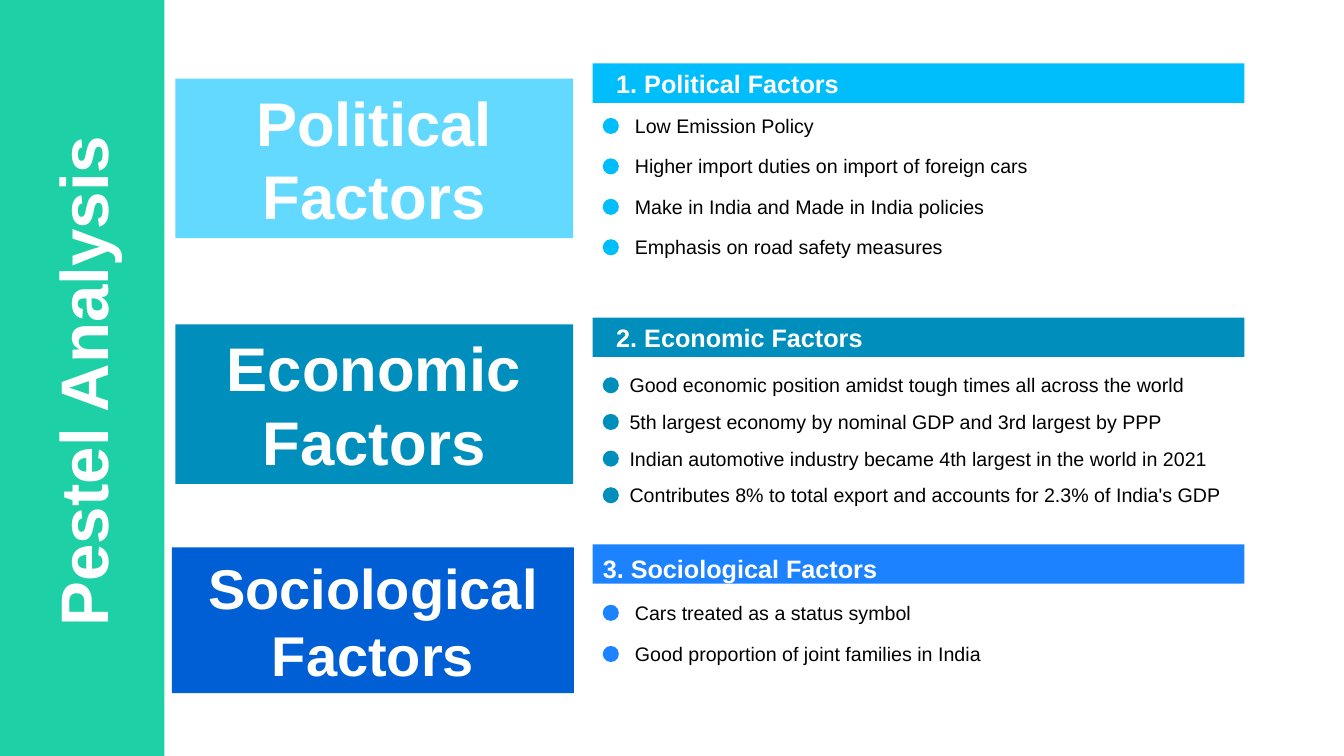
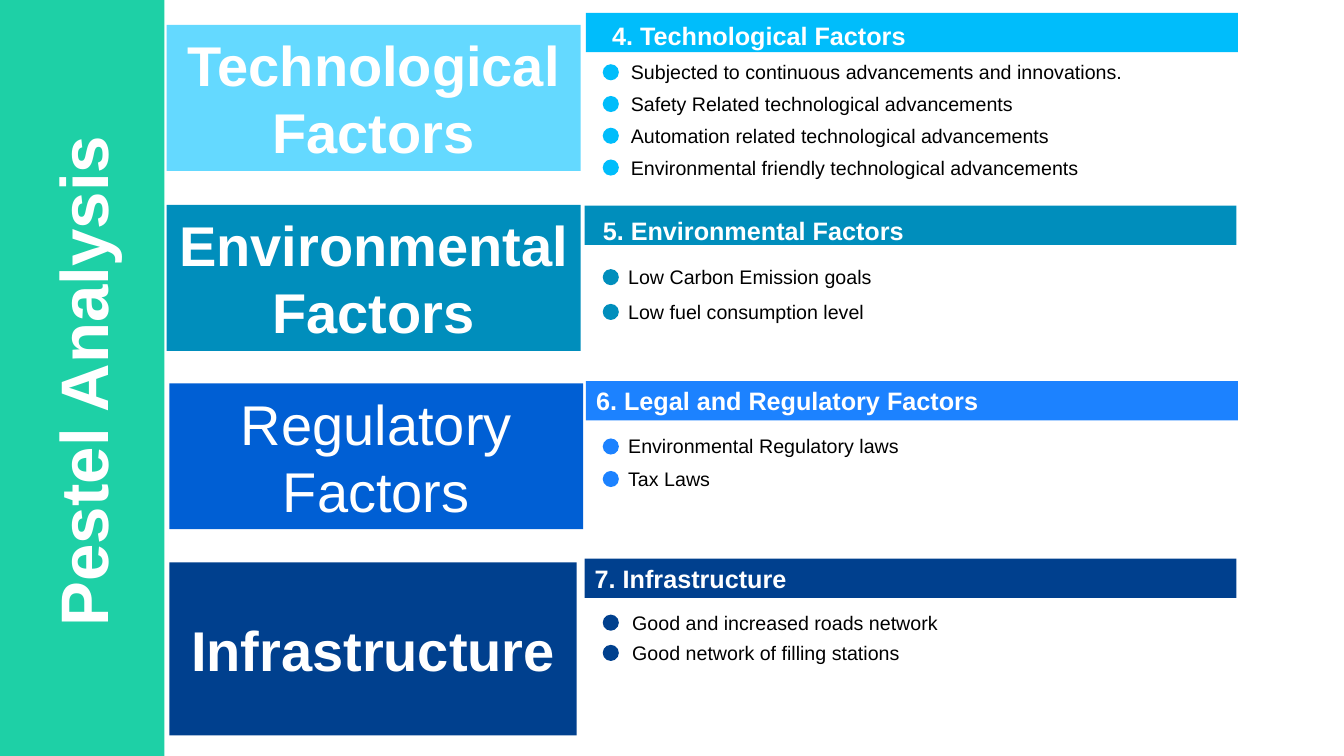
from dataclasses import dataclass

from pptx import Presentation
from pptx.dml.color import RGBColor
from pptx.enum.shapes import MSO_SHAPE
from pptx.enum.text import MSO_ANCHOR, PP_ALIGN
from pptx.util import Inches, Pt

WIDTH, HEIGHT = Inches(13.33), Inches(7.5)
FONT = "Arial"
WHITE, BLACK, GREEN = "FFFFFF", "000000", "1ED0A6"
SKY, PALE_SKY, TEAL = "00BDFB", "64D9FF", "008EBC"
AZURE, ROYAL, NAVY = "1C82FF", "005FD4", "00408E"

# Shares of the slide in percent: widths of its width, heights of its height
BAND_W, BAND_H = 48.5, 5.2
ITEM_W, ITEM_H = 47.1, 4.5
DOT_X, DOT_W, DOT_H, DOT_DROP = 44.85, 1.2, 2.13, 1.2


@dataclass
class Section:
    """One factor; lengths are percentages of the slide."""
    label: str
    box: tuple
    box_color: str
    heading: str
    band: tuple
    color: str
    items: list
    first_item: tuple
    pitch: float
    inset: float = 0.75
    drop: float = 0
    size: int = 40
    bold: bool = True


SLIDES = [
    [
        Section("Political Factors", (13.05, 10.4, 29.6, 21.1), PALE_SKY,
                "1. Political Factors", (44.1, 8.4), SKY,
                ["Low Emission Policy",
                 "Higher import duties on import of foreign cars",
                 "Make in India and Made in India policies",
                 "Emphasis on road safety measures"],
                (46.5, 14.4), 5.35, inset=1.75, size=44),
        Section("Economic Factors", (13.05, 42.9, 29.6, 21.1), TEAL,
                "2. Economic Factors", (44.1, 42), TEAL,
                ["Good economic position amidst tough times all across the world",
                 "5th largest economy by nominal GDP and 3rd largest by PPP",
                 "Indian automotive industry became 4th largest in the world in 2021",
                 "Contributes 8% to total export and accounts for 2.3% of India's GDP"],
                (46.1, 48.7), 4.85, inset=1.75, size=44),
        Section("Sociological Factors", (12.8, 72.4, 29.9, 19.3), ROYAL,
                "3. Sociological Factors", (44.1, 72), AZURE,
                ["Cars treated as a status symbol",
                 "Good proportion of joint families in India"],
                (46.5, 78.8), 5.45, drop=1.1),
    ],
    [
        Section("Technological\nFactors", (12.4, 3.3, 30.8, 19.3), PALE_SKY,
                "4. Technological Factors", (43.6, 1.7), SKY,
                ["Subjected to continuous advancements and innovations.",
                 "Safety Related technological advancements",
                 "Automation related technological advancements",
                 "Environmental friendly technological advancements"],
                (46.2, 7.3), 4.2, inset=1.95, drop=0.8),
        Section("Environmental\nFactors", (12.4, 27.1, 30.8, 19.3), TEAL,
                "5. Environmental Factors", (43.5, 27.2), TEAL,
                ["Low Carbon Emission goals", "Low fuel consumption level"],
                (46, 34.4), 4.6, inset=1.35, drop=1.3),
        Section("Regulatory Factors", (12.6, 50.7, 30.8, 19.3), ROYAL,
                "6. Legal and Regulatory Factors", (43.6, 50.4), AZURE,
                ["Environmental Regulatory laws", "Tax Laws"],
                (46, 56.8), 4.3, bold=False),
        Section("Infrastructure", (12.6, 74.4, 30.3, 22.9), NAVY,
                "7. Infrastructure", (43.5, 73.9), NAVY,
                ["Good and increased roads network",
                 "Good network of filling stations"],
                (46.3, 80.1), 4),
    ],
]


def rgb(color):
    return RGBColor.from_string(color)


def across(share):
    return int(WIDTH * share / 100)


def down(share):
    return int(HEIGHT * share / 100)


def place(x, y, w, h):
    return across(x), down(y), across(w), down(h)


def write(sp, text, size, color, bold=False, align=PP_ALIGN.LEFT):
    tf = sp.text_frame
    tf.text = text
    for p in tf.paragraphs:
        p.alignment = align
        for r in p.runs:
            r.font.name, r.font.size, r.font.bold = FONT, Pt(size), bold
            r.font.color.rgb = rgb(color)
    return tf


def add_filled(shapes, kind, area, color):
    sp = shapes.add_shape(kind, *place(*area))
    sp.shadow.inherit = False
    sp.fill.solid()
    sp.fill.fore_color.rgb = rgb(color)
    sp.line.fill.background()
    return sp


def add_side_band(slide):
    """Put the green band on the slide's layout, behind its placeholders."""
    band = add_filled(slide.shapes, MSO_SHAPE.RECTANGLE, (0, 0, 12.23, 100), GREEN)
    slide.slide_layout.shapes.element.insert(2, band.element)


def set_title(slide, text):
    title = slide.shapes.title
    title.left, title.top, title.width, title.height = place(-13.13, 44, 38.4, 12.1)
    title.rotation = 270
    tf = write(title, text, 48, WHITE, bold=True)
    tf.word_wrap = False
    tf.vertical_anchor = MSO_ANCHOR.MIDDLE


def add_label(shapes, s):
    sp = add_filled(shapes, MSO_SHAPE.RECTANGLE, s.box, s.box_color)
    tf = write(sp, s.label, s.size, WHITE, s.bold, PP_ALIGN.CENTER)
    tf.word_wrap = True
    tf.vertical_anchor = MSO_ANCHOR.MIDDLE


def add_heading(shapes, s):
    sp = add_filled(shapes, MSO_SHAPE.RECTANGLE, (*s.band, BAND_W, BAND_H), s.color)
    tf = write(sp, s.heading, 18, WHITE, bold=True)
    tf.vertical_anchor = MSO_ANCHOR.MIDDLE
    tf.margin_left, tf.margin_top, tf.margin_bottom = across(s.inset), down(s.drop), 0


def add_items(shapes, s):
    x, top = s.first_item
    for i, item in enumerate(s.items):
        y = top + i * s.pitch
        add_filled(shapes, MSO_SHAPE.OVAL, (DOT_X, y + DOT_DROP, DOT_W, DOT_H), s.color)
        sp = shapes.add_textbox(*place(x, y, ITEM_W, ITEM_H))
        write(sp, item, 14, BLACK).word_wrap = True


def main():
    prs = Presentation()
    prs.slide_width, prs.slide_height = WIDTH, HEIGHT
    layout = prs.slide_layouts.get_by_name("Title Only")
    for sections in SLIDES:
        slide = prs.slides.add_slide(layout)
        set_title(slide, "Pestel Analysis")
        for s in sections:
            add_label(slide.shapes, s)
            add_heading(slide.shapes, s)
            add_items(slide.shapes, s)
    add_side_band(prs.slides[0])
    prs.save("out.pptx")


if __name__ == "__main__":
    main()
